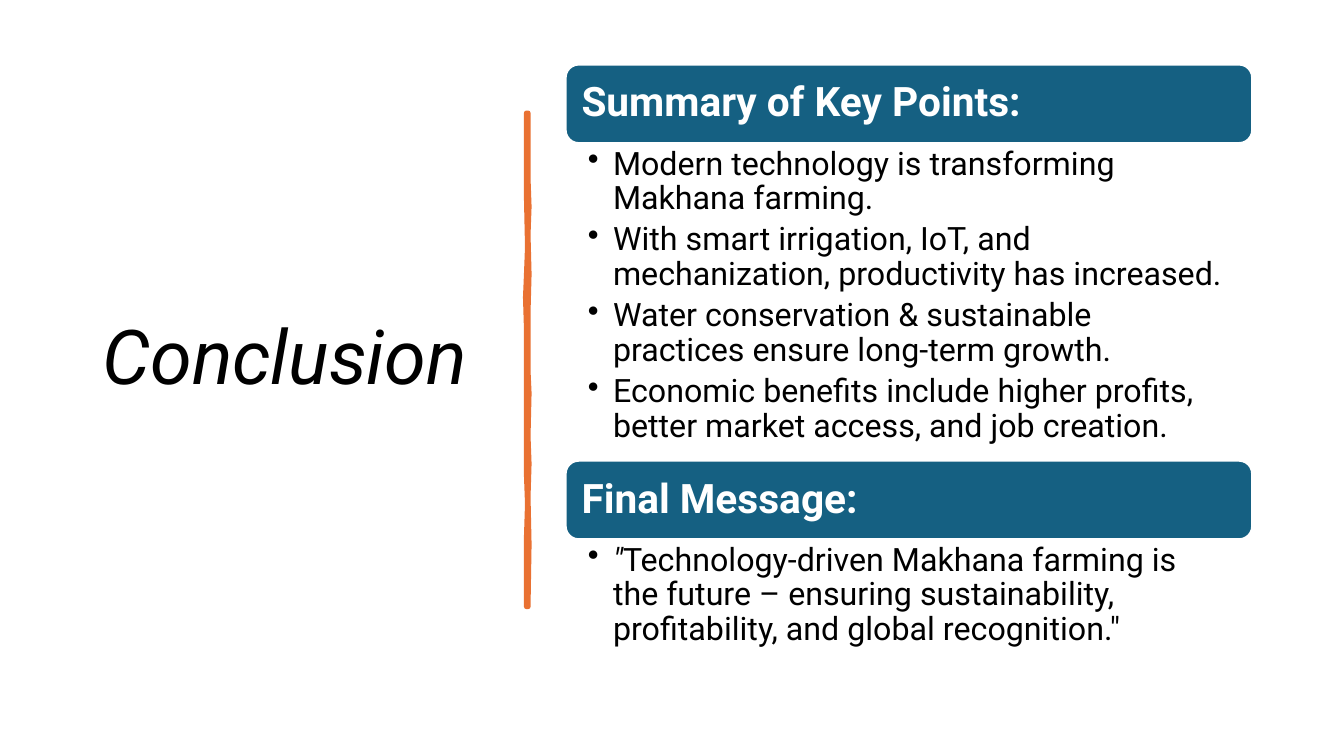
from dataclasses import dataclass

from lxml.etree import SubElement
from pptx import Presentation
from pptx.dml.color import RGBColor
from pptx.enum.shapes import MSO_SHAPE
from pptx.enum.text import MSO_ANCHOR
from pptx.oxml.ns import qn
from pptx.util import Pt

PX = 9144  # 100 px to the inch


@dataclass(frozen=True)
class Theme:
    font: str = "Roboto"
    ink: RGBColor = RGBColor(0x00, 0x00, 0x00)
    white: RGBColor = RGBColor(0xFF, 0xFF, 0xFF)
    teal: RGBColor = RGBColor(0x15, 0x60, 0x82)
    orange: RGBColor = RGBColor(0xE9, 0x71, 0x32)
    title: int = 54
    heading: int = 29
    body: int = 23


theme = Theme()


def set_frame(frame, left, top, right, bottom, anchor):
    frame.word_wrap = True
    frame.vertical_anchor = anchor
    frame.margin_left, frame.margin_top = left * PX, top * PX
    frame.margin_right, frame.margin_bottom = right * PX, bottom * PX


def format_paragraph(paragraph, size, color, bold=False, italic=False):
    paragraph.line_spacing = 0.9
    for run in paragraph.runs:
        run.font.name = theme.font
        run.font.size = Pt(size)
        run.font.color.rgb = color
        run.font.bold = bold
        run.font.italic = italic


prs = Presentation()
prs.slide_width, prs.slide_height = 1333 * PX, 750 * PX
slide = prs.slides.add_slide(prs.slide_layouts[6])

# Title
title = slide.shapes.add_textbox(92 * PX, 60 * PX, 394 * PX, 594 * PX)
set_frame(title.text_frame, 10, 5, 10, 5, MSO_ANCHOR.MIDDLE)
title.text_frame.text = "Conclusion"
format_paragraph(title.text_frame.paragraphs[0], theme.title, theme.ink, italic=True)

# Hand-drawn divider: down the right edge, back up the left
right_edge = [(524, 112), (524, 177), (525, 205), (524, 233), (525, 272),
              (524, 310), (524, 368), (525, 390), (524, 433), (525, 460),
              (524, 493), (525, 540), (524, 602)]
left_edge = [(522, 602), (522, 532), (523, 500), (522, 472), (522, 327),
             (521, 295), (522, 272), (523, 245), (522, 197), (522, 112)]
outline = slide.shapes.build_freeform(*right_edge[0], scale=PX)
outline.add_line_segments(right_edge[1:] + left_edge, close=True)
divider = outline.convert_to_shape()
divider.shadow.inherit = False
divider.fill.solid()
divider.fill.fore_color.rgb = theme.orange
divider.line.color.rgb = theme.orange
divider.line.width = Pt(3.25)

# Sections: heading, bar top, body height, bullets
BAR_HEIGHT = 78
sections = [
    ("Summary of Key Points:", 64, 315, [
        "Modern technology is transforming Makhana farming.",
        "With smart irrigation, IoT, and mechanization, productivity has increased.",
        "Water conservation & sustainable practices ensure long-term growth.",
        "Economic benefits include higher profits, better market access, and job creation.",
    ]),
    ("Final Message:", 457, 115, [
        "\"Technology-driven Makhana farming is the future – ensuring "
        "sustainability, profitability, and global recognition.\"",
    ]),
]
for heading, top, body_height, bullets in sections:
    # Heading bar
    bar = slide.shapes.add_shape(MSO_SHAPE.ROUNDED_RECTANGLE,
                                 561 * PX, top * PX, 681 * PX, BAR_HEIGHT * PX)
    bar.shadow.inherit = False
    bar.fill.solid()
    bar.fill.fore_color.rgb = theme.teal
    bar.line.color.rgb = theme.white
    bar.line.width = Pt(1.5)
    set_frame(bar.text_frame, 12, 8, 12, 8, MSO_ANCHOR.MIDDLE)
    bar.text_frame.text = heading
    bar_line = bar.text_frame.paragraphs[0]
    bar_line.alignment = 1  # left
    format_paragraph(bar_line, theme.heading, theme.white, bold=True)

    # Bulleted body
    body = slide.shapes.add_textbox(561 * PX, (top + BAR_HEIGHT) * PX,
                                    681 * PX, body_height * PX)
    set_frame(body.text_frame, 22, 4, 23, 4, MSO_ANCHOR.TOP)
    body.text_frame.text = "\n".join(bullets)
    for point in body.text_frame.paragraphs:
        format_paragraph(point, theme.body, theme.ink)
        point.space_after = Pt(4.6)
        properties = point._p.get_or_add_pPr()
        properties.set("marL", str(25 * PX))
        properties.set("indent", str(-25 * PX))
        SubElement(properties, qn("a:buChar")).set("char", "•")

# The opening quotation mark of the final message is italic
message = body.text_frame.paragraphs[0]
quote = message.runs[0]
words = message.add_run()
words.text = quote.text[1:]
quote.text = quote.text[0]
format_paragraph(message, theme.body, theme.ink)
quote.font.italic = True

prs.save("out.pptx")
